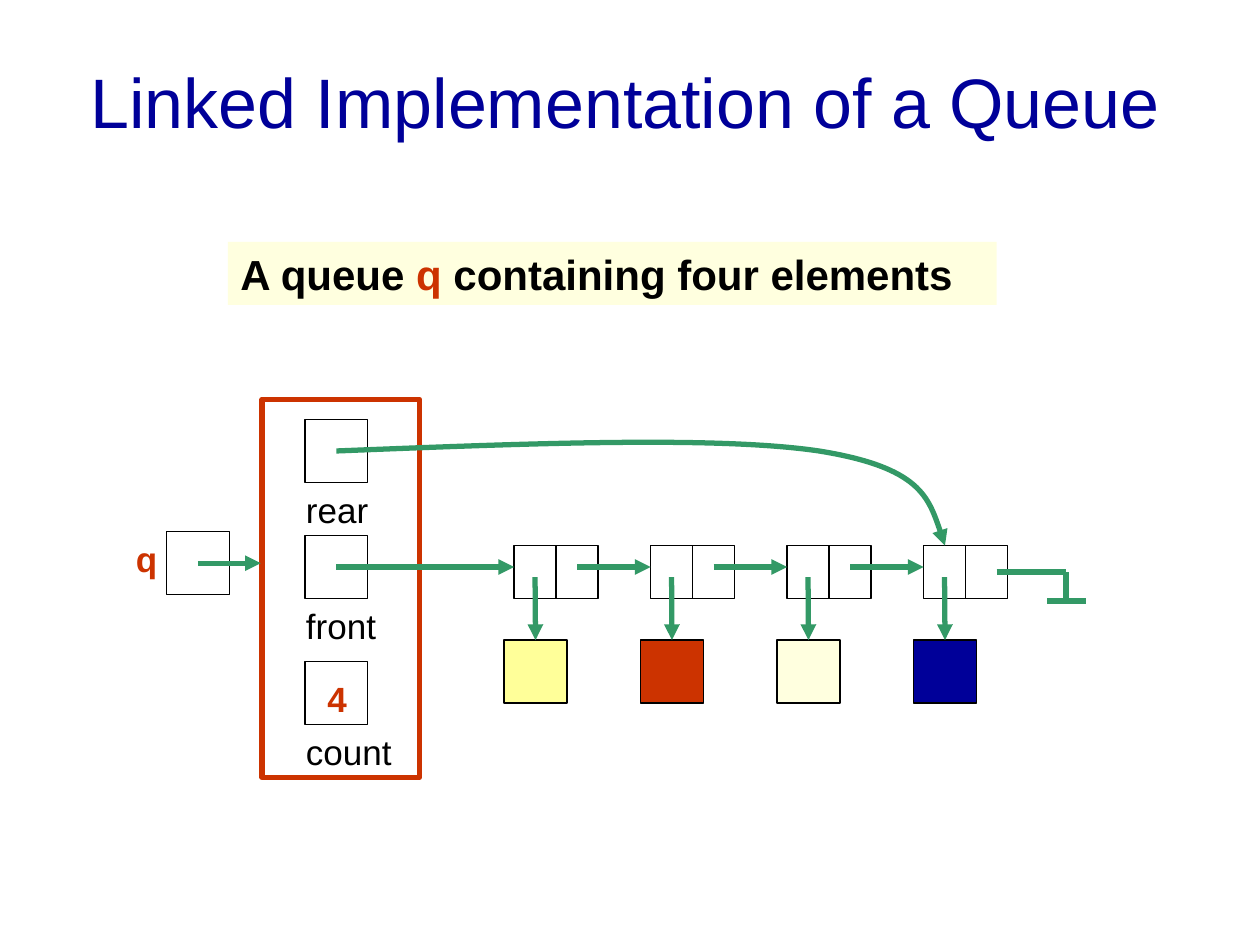
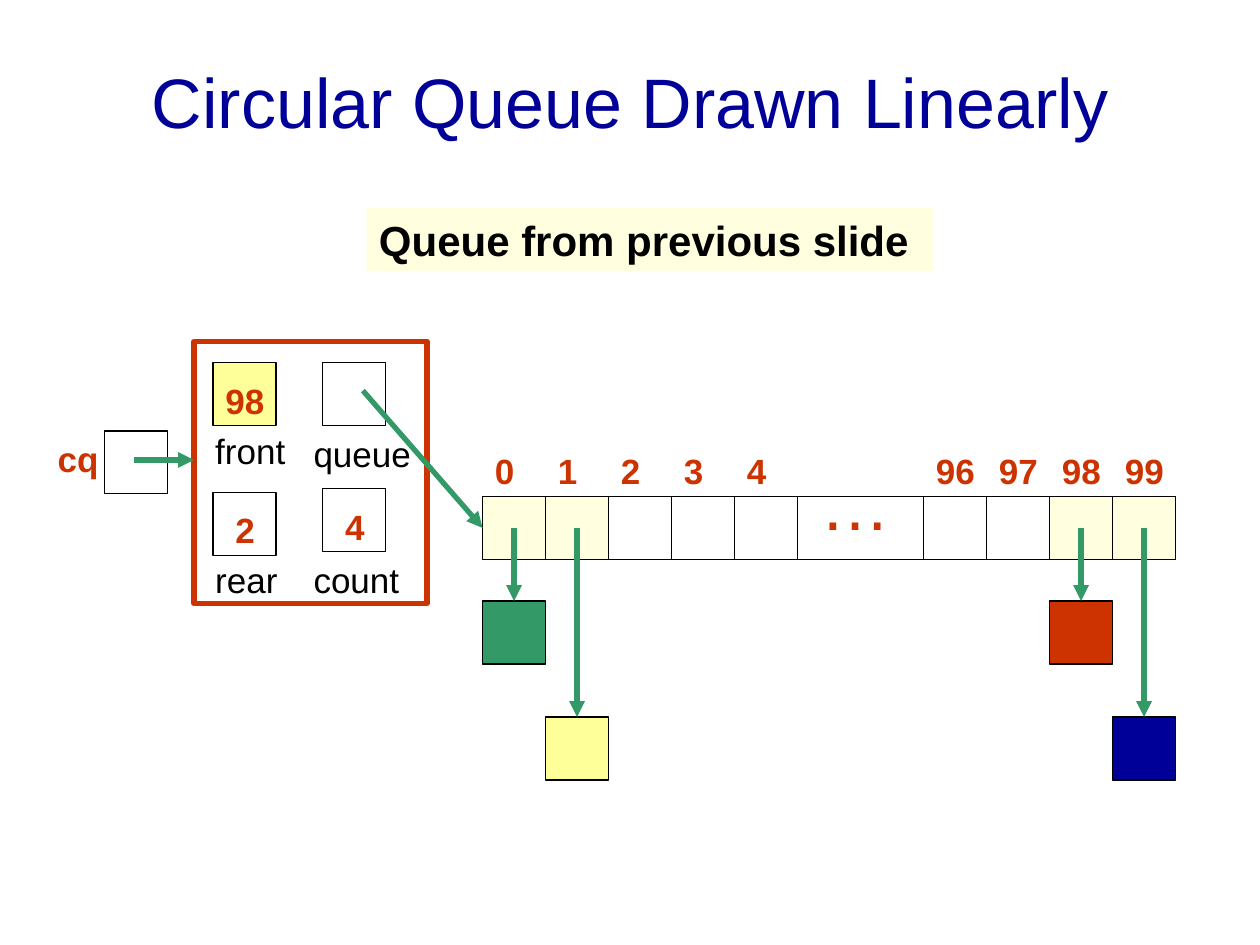
import pptx
import pptx.dml.color
import pptx.enum.shapes
import pptx.enum.text
import pptx.oxml.ns
import pptx.util
from lxml import etree

Inches = pptx.util.Inches
qn = pptx.oxml.ns.qn
Shapes = pptx.enum.shapes.MSO_SHAPE
Anchor = pptx.enum.text.MSO_ANCHOR
Align = pptx.enum.text.PP_ALIGN

FONT = "Arial"
BLACK, NAVY, RED, GREEN = "000000", "000099", "CC3300", "339966"
CREAM, YELLOW = "FFFFDF", "FFFF99"
SIDE = 0.5
TOP, LEFT = 0, 1


def color(code):
    return pptx.dml.color.RGBColor.from_string(code)


class Deck:
    def __init__(self):
        self.file = pptx.Presentation()
        self.file.slide_width = Inches(10)
        self.file.slide_height = Inches(7.5)
        self.slide = None

    def page(self, title, left, width):
        self.slide = self.file.slides.add_slide(self.file.slide_layouts[6])
        label = self.text(title, left, 0.17, width, 1.25, 40, NAVY)
        label.text_frame.vertical_anchor = Anchor.MIDDLE
        label.text_frame.paragraphs[0].alignment = Align.CENTER

    def letter(self, shape, words, size, tint, bold):
        """Fill a shape with one line, given as a string or as (words, tint) pairs."""
        frame = shape.text_frame
        frame.word_wrap = True
        frame.vertical_anchor = Anchor.TOP
        line = frame.paragraphs[0]
        line.alignment = Align.LEFT
        line.font.name = FONT
        line.font.size = pptx.util.Pt(size)
        line.font.bold = bold
        if isinstance(words, str):
            line.font.color.rgb = color(tint)
            words = [(words, tint)]
        for part, shade in words:
            run = line.add_run()
            run.text = part
            if len(words) > 1:
                run.font.color.rgb = color(shade)

    def text(self, words, left, top, width=1, height=0.43, size=20,
             tint=BLACK, bold=False):
        shape = self.slide.shapes.add_textbox(
            Inches(left), Inches(top), Inches(width), Inches(height))
        self.letter(shape, words, size, tint, bold)
        return shape

    def mark(self, words, left, top, width=0.58):
        self.text(words, left, top, width, tint=RED, bold=True)

    def box(self, left, top, width=SIDE, height=SIDE, fill=None,
            edge=BLACK, weight=0.75):
        shape = self.slide.shapes.add_shape(
            Shapes.RECTANGLE, Inches(left), Inches(top), Inches(width), Inches(height))
        shape.shadow.inherit = False
        if fill:
            shape.fill.solid()
            shape.fill.fore_color.rgb = color(fill)
        else:
            shape.fill.background()
        if edge:
            self.stroke(shape, edge, weight)
        else:
            shape.line.fill.background()
        return shape

    def frame(self, left, top, width, height):
        self.box(left, top, width, height, edge=RED, weight=3)

    def banner(self, words, left, top, width):
        shape = self.box(left, top, width, fill=CREAM, edge=None)
        self.letter(shape, words, 24, BLACK, True)

    def stroke(self, shape, tint, weight, head=False):
        shape.line.color.rgb = color(tint)
        shape.line.width = pptx.util.Pt(weight)
        if head:
            line = shape.element.spPr.find(qn("a:ln"))
            etree.SubElement(line, qn("a:tailEnd"), type="triangle")

    def line(self, start, end, tint=GREEN, weight=3, head=False):
        link = self.slide.shapes.add_connector(
            pptx.enum.shapes.MSO_CONNECTOR.STRAIGHT,
            *(Inches(value) for value in (*start, *end)))
        self.stroke(link, tint, weight, head)
        etree.SubElement(link.element.spPr, qn("a:effectLst"))
        return link

    def arrow(self, start, end, goal=None, side=TOP):
        link = self.line(start, end, head=True)
        if goal is not None:
            link.end_connect(goal, side)

    def curve(self, start, *points):
        """Draw a curved arrow; each three points make one Bezier piece."""
        pen = self.slide.shapes.build_freeform(
            Inches(start[0]), Inches(start[1]), scale=1.0)
        pen.add_line_segments([(Inches(x), Inches(y)) for x, y in points], close=False)
        shape = pen.convert_to_shape()
        shape.shadow.inherit = False
        shape.fill.background()
        self.stroke(shape, GREEN, 3, head=True)
        steps = list(shape.element.iter(qn("a:lnTo")))
        route = steps[0].getparent()
        for first in range(0, len(steps), 3):
            piece = etree.SubElement(route, qn("a:cubicBezTo"))
            for step in steps[first:first + 3]:
                piece.append(step[0])
                route.remove(step)


def linked(deck):
    deck.page("Linked Implementation of a Queue", 0.51, 8.9)
    deck.banner([("A queue ", BLACK), ("q", RED),
                 (" containing four elements", BLACK)], 1.81, 1.92, 6.1)

    deck.frame(2.08, 3.17, 1.25, 3)
    for name, top in (("rear", 3.33), ("front", 4.25), ("count", 5.25)):
        deck.box(2.42, top)
        deck.text(name, 2.33, top + SIDE)
    deck.mark("4", 2.5, 5.33)
    deck.mark("q", 0.98, 4.22)
    deck.box(1.32, 4.22)
    deck.arrow((1.57, 4.47), (2.07, 4.47))

    cell, step = 1 / 3, 13 / 12
    tail = 2.67
    for index, fill in enumerate((YELLOW, RED, CREAM, NAVY)):
        left = 4.08 + index * step
        value = deck.box(left - 0.08, 5.08, fill=fill)
        for part in range(2):
            deck.box(left + part * cell, 4.33, cell, 0.42)
        deck.arrow((left + cell / 2, 4.58), (left + cell / 2, 5.08), value)
        deck.arrow((tail, 4.5), (left, 4.5))
        tail = left + SIDE

    deck.curve((2.67, 3.58), (4.18, 3.52), (5.69, 3.46), (6.5, 3.58),
               (7.31, 3.71), (7.4, 4.02), (7.5, 4.33))
    deck.line((7.91, 4.54), (8.46, 4.54))
    deck.line((8.46, 4.54), (8.46, 4.77))
    deck.line((8.31, 4.77), (8.62, 4.77))


def linear(deck):
    deck.page("Circular Queue Drawn Linearly", 0.75, 8.5)
    deck.banner("Queue from previous slide", 2.91, 1.65, 4.5)

    deck.frame(1.54, 2.71, 1.85, 2.08)
    for left, top, fill in ((1.69, 2.88, YELLOW), (1.69, 3.91, None),
                            (2.56, 2.88, None), (2.56, 3.88, None)):
        deck.box(left, top, fill=fill)
    for name, left, top in (("front", 1.61, 3.36), ("rear", 1.61, 4.38),
                            ("queue", 2.39, 3.38), ("count", 2.39, 4.38)):
        deck.text(name, left, top)
    for count, left, top in (("98", 1.69, 2.96), ("2", 1.77, 3.99), ("4", 2.64, 3.96)):
        deck.mark(count, left, top)
    deck.mark("cq", 0.36, 3.42, 0.94)
    deck.box(0.83, 3.42)
    deck.arrow((1.06, 3.65), (1.54, 3.65))

    row = 3.94
    values = {0: (4.77, GREEN), 1: (5.69, YELLOW), 98: (4.77, RED), 99: (5.69, NAVY)}
    cells = {}
    for start, indexes in ((3.83, range(5)), (7.33, range(96, 100))):
        for place, index in enumerate(indexes):
            left = start + place * SIDE
            cells[index] = deck.box(left, row, fill=CREAM if index in values else None)
            deck.mark(str(index), left, 3.52)
            if index in values:
                top, fill = values[index]
                value = deck.box(left, top, fill=fill)
                middle = left + SIDE / 2
                deck.arrow((middle, row + SIDE / 2), (middle, top), value)
    deck.arrow((2.88, 3.1), (3.83, 4.19), cells[0], LEFT)

    for edge in (row, row + SIDE):
        deck.line((6.33, edge), (7.33, edge), BLACK, 0.75)
    deck.text("…", 6.41, 3.61, 0.92, 0.77, 40, RED)


def main():
    deck = Deck()
    linked(deck)
    linear(deck)
    deck.file.save("out.pptx")


if __name__ == "__main__":
    main()
